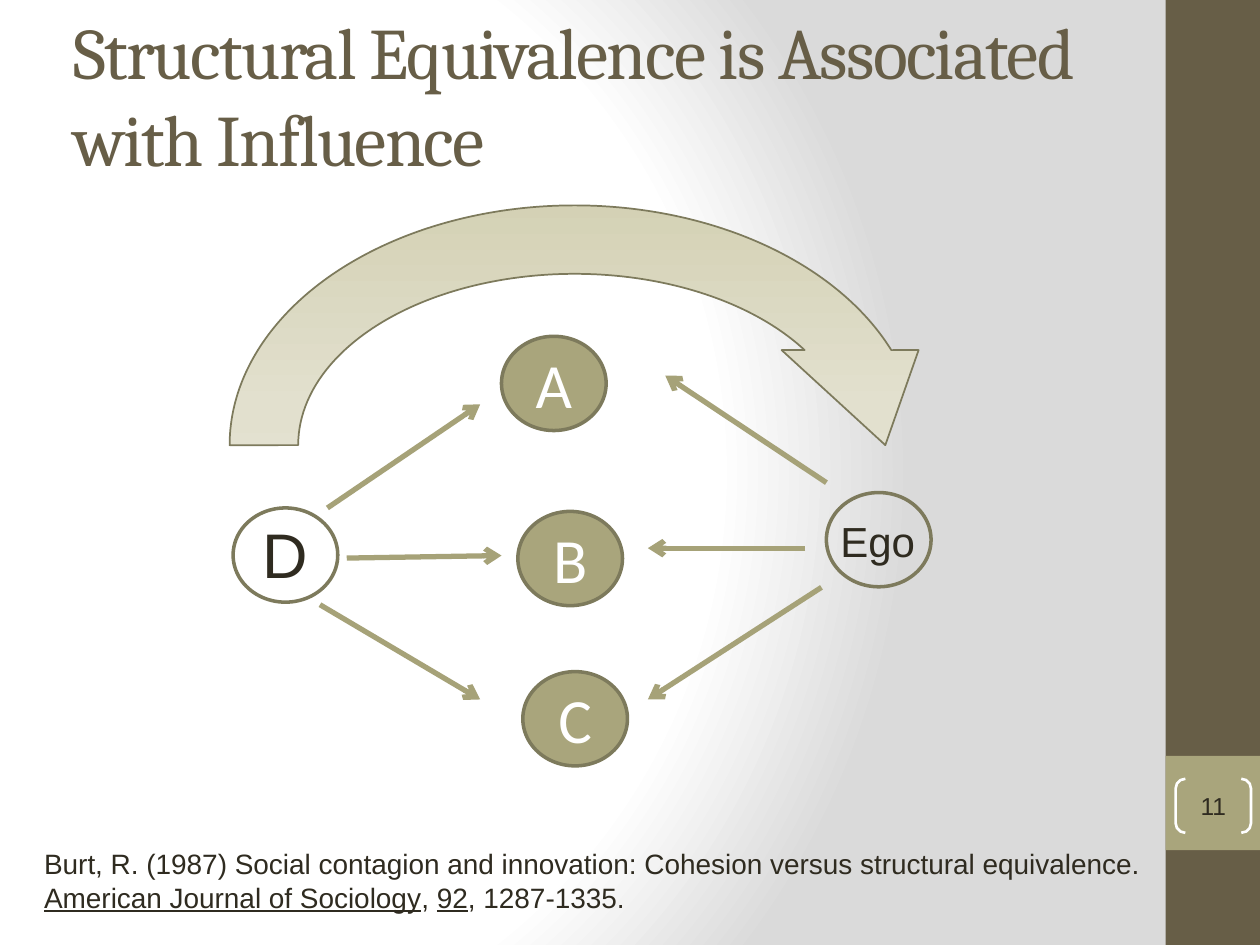
import lxml.etree
import pptx
import pptx.dml.color
import pptx.enum.dml
import pptx.enum.shapes
import pptx.enum.text
import pptx.oxml
import pptx.oxml.ns
import pptx.util

Cm = pptx.util.Cm
Pt = pptx.util.Pt
SHAPES = pptx.enum.shapes.MSO_SHAPE
ALIGN = pptx.enum.text.PP_ALIGN
ANCHOR = pptx.enum.text.MSO_ANCHOR
qn = pptx.oxml.ns.qn

COLORS = {
    "olive": "675E47",
    "sage": "A9A57C",
    "outline": "7D7A5C",
    "arrow": "A6A278",
    "ink": "2F2B20",
    "white": "FFFFFF",
}
BACKGROUND_STOPS = [(0, "FFFFFF"), (75, "FFFFFF"), (100, "DADADA")]
INFLUENCE_STOPS = [(0, "D2CFB1"), (43, "E2E0CE"), (100, "F0EFE7")]


class SlideBuilder:
    """Hold the deck style and the current slide, and add styled elements to it."""

    def __init__(self, slide):
        self.slide = slide

    def color(self, name):
        return pptx.dml.color.RGBColor.from_string(COLORS[name])

    def gradient(self, fill, owner, stops, direction):
        fill.gradient()
        gradient = next(owner.iter(qn("a:gradFill")))
        for child in list(gradient):
            gradient.remove(child)
        stop_list = lxml.etree.SubElement(gradient, qn("a:gsLst"))
        for position, value in stops:
            stop = lxml.etree.SubElement(stop_list, qn("a:gs"), pos=str(position * 1000))
            lxml.etree.SubElement(stop, qn("a:srgbClr"), val=value)
        gradient.append(pptx.oxml.parse_xml(direction))

    def background(self, stops):
        direction = (
            f'<a:path {pptx.oxml.ns.nsdecls("a")} path="circle">'
            '<a:fillToRect l="20000" t="50000" r="100000" b="50000"/></a:path>'
        )
        owner = self.slide.element
        self.gradient(self.slide.background.fill, owner, stops, direction)

    def style_text(self, para, font, size, color, align=ALIGN.LEFT):
        para.alignment = align
        para.font.name = font
        para.font.size = Pt(size)
        para.font.color.rgb = self.color(color)

    def title(self, text, left, top, width, height):
        title = self.slide.shapes.title
        title.left, title.top, title.width, title.height = map(Cm, (left, top, width, height))
        title.text_frame.vertical_anchor = ANCHOR.MIDDLE
        title.text_frame.auto_size = pptx.enum.text.MSO_AUTO_SIZE.NONE
        para = title.text_frame.paragraphs[0]
        span = para.add_run()
        span.text = text
        self.style_text(para, "Cambria", 41.4, "olive")
        span.font._element.set("spc", "-100")

    def shape(self, kind, left, top, width, height, fill=None, line=None, weight=2):
        shape = self.slide.shapes.add_shape(kind, *map(Cm, (left, top, width, height)))
        shape.shadow.inherit = False
        if fill:
            shape.fill.solid()
            shape.fill.fore_color.rgb = self.color(fill)
        else:
            shape.fill.background()
        if line:
            shape.line.color.rgb = self.color(line)
            shape.line.width = Pt(weight)
        else:
            shape.line.fill.background()
        return shape

    def label(self, shape, text, font, size, color):
        frame = shape.text_frame
        frame.vertical_anchor = ANCHOR.MIDDLE
        para = frame.paragraphs[0]
        para.text = text
        self.style_text(para, font, size, color, ALIGN.CENTER)

    def node(self, left, top, text=None):
        fill = "sage" if text else None
        circle = self.shape(SHAPES.OVAL, left, top, 2.11, 1.9, fill, "outline")
        if text:
            self.label(circle, text, "Calibri", 36, "white")

    def text(self, left, top, width, height, lines, size, align=ALIGN.LEFT):
        box = self.slide.shapes.add_textbox(*map(Cm, (left, top, width, height)))
        frame = box.text_frame
        frame.word_wrap = False
        frame.auto_size = pptx.enum.text.MSO_AUTO_SIZE.SHAPE_TO_FIT_TEXT
        for index, line in enumerate(lines):
            para = frame.add_paragraph() if index else frame.paragraphs[0]
            self.style_text(para, "Arial", size, "ink", align)
            for words, underlined in line:
                span = para.add_run()
                span.text = words
                if underlined:
                    span.font.underline = True

    def arrow(self, *ends):
        straight = pptx.enum.shapes.MSO_CONNECTOR.STRAIGHT
        arrow = self.slide.shapes.add_connector(straight, *map(Cm, ends))
        arrow.line.color.rgb = self.color("arrow")
        arrow.line.width = Pt(3)
        properties = arrow._element.spPr
        lxml.etree.SubElement(properties.find(qn("a:ln")), qn("a:tailEnd"), type="arrow")
        lxml.etree.SubElement(properties, qn("a:effectLst"))

    def influence_arrow(self, left, top, width, height):
        arc = self.shape(
            SHAPES.CIRCULAR_ARROW, left, top, width, height, line="outline", weight=1
        )
        direction = f'<a:lin {pptx.oxml.ns.nsdecls("a")} ang="5400000" scaled="0"/>'
        self.gradient(arc.fill, arc._element, INFLUENCE_STOPS, direction)

    def page_number(self, text, left, top, width, height):
        bracket = self.shape(
            SHAPES.DOUBLE_BRACKET, left, top, width, height, line="white", weight=1.5
        )
        bracket.adjustments[0] = 0.18
        frame = bracket.text_frame
        frame.margin_left = frame.margin_right = frame.margin_top = frame.margin_bottom = 0
        self.label(bracket, text, "Arial", 14, "ink")


def main():
    deck = pptx.Presentation()
    deck.slide_width, deck.slide_height = Cm(25.4), Cm(19.05)
    page = SlideBuilder(deck.slides.add_slide(deck.slide_layouts[5]))

    page.background(BACKGROUND_STOPS)
    page.shape(SHAPES.RECTANGLE, 23.5, 0, 1.9, 19.05, "olive")
    page.shape(SHAPES.RECTANGLE, 23.5, 15.24, 1.9, 1.9, "sage")
    page.title("Structural Equivalence is Associated with Influence", 1.22, 0.3, 22.86, 3.18)

    nodes = [
        (10.11, 6.78, "A"),
        (10.44, 10.31, "B"),
        (10.54, 13.54, "C"),
        (4.7, 10.24),
        (16.66, 9.93),
    ]
    for node in nodes:
        page.node(*node)
    page.text(5.03, 10.26, 1.45, 1.8, [[("D", False)]], 36, ALIGN.CENTER)
    page.text(16.69, 10.26, 2.03, 1.27, [[("Ego", False)]], 24)

    arrows = [
        (6.6, 10.24, 9.68, 8.15),
        (6.99, 11.25, 10.11, 11.2),
        (6.45, 12.19, 9.68, 14.1),
        (16.66, 9.73, 13.41, 7.57),
        (16.23, 11.05, 13.06, 11.05),
        (16.56, 11.84, 13.06, 14.1),
    ]
    for ends in arrows:
        page.arrow(*ends)

    citation = [
        [("Burt, R. (1987) Social contagion and innovation: "
          "Cohesion versus structural equivalence.", False)],
        [("American Journal of Sociology", True), (", ", False),
         ("92", True), (", 1287-1335.", False)],
    ]
    page.text(0.64, 16.94, 22.86, 1.63, citation, 16)
    page.influence_arrow(3.94, 3.45, 15.29, 11.05)
    page.page_number("11", 23.7, 15.7, 1.52, 1.09)

    deck.save("out.pptx")


if __name__ == "__main__":
    main()
